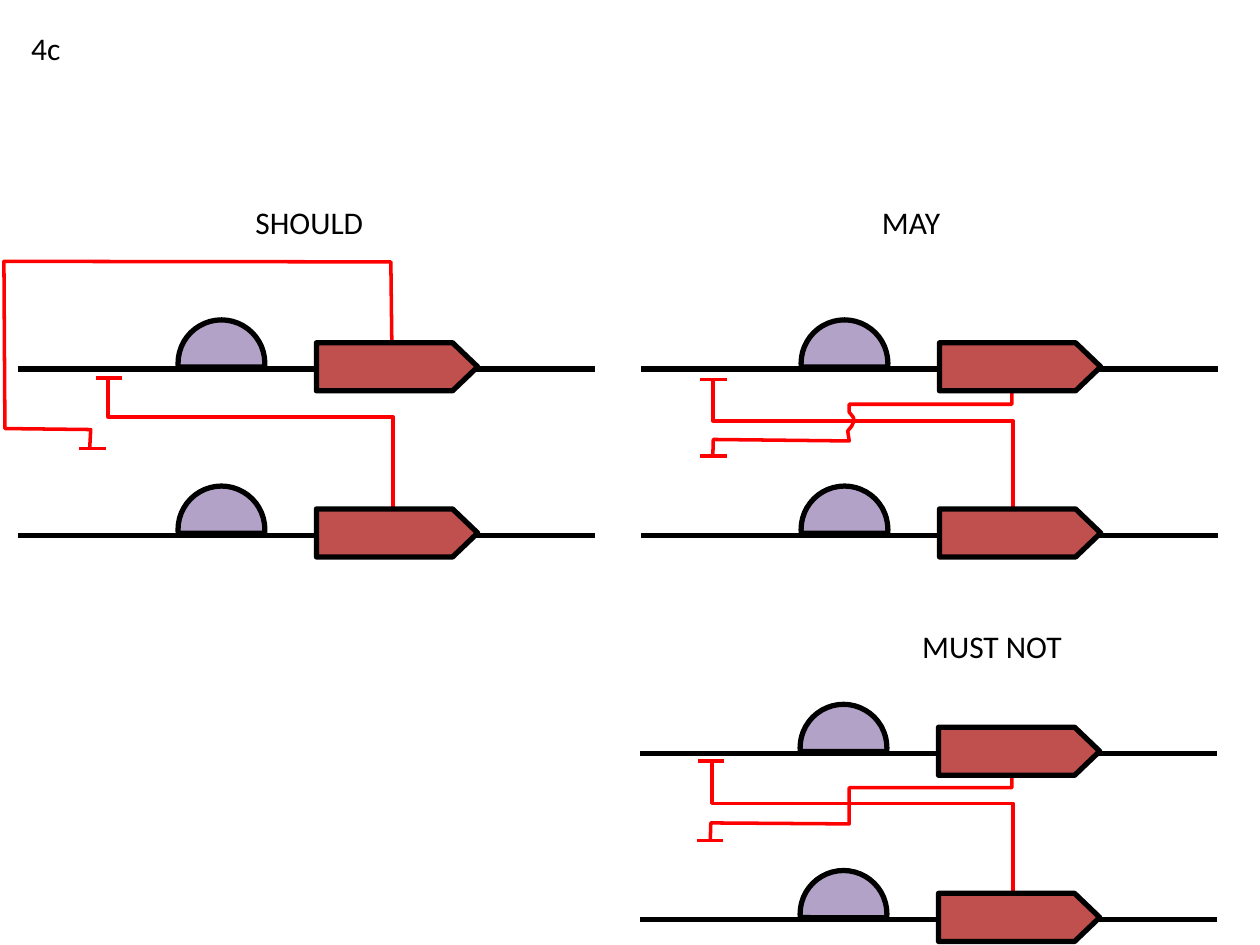
from lxml.etree import SubElement
from pptx import Presentation
from pptx.dml.color import RGBColor
from pptx.enum.shapes import MSO_CONNECTOR, MSO_SHAPE
from pptx.enum.text import MSO_AUTO_SIZE
from pptx.oxml.ns import qn
from pptx.util import Cm, Pt

# Content, all lengths in cm
COLORS = {"gene": "C0504D", "site": "B3A2C7", "repression": "FF0000", "ink": "000000"}
FIGURE_LABEL = ("4c", 0.38, 0.46, 1.12)
PANELS = [
    {
        "title": ("SHOULD", 4.9, 3.96, 2.72),
        "strand": (0.36, 7.44),
        "lower_link": ((7.92, 10.24), (2.18, 7.59), 0.693),
        "upper_link": [(7.9, 6.93), (7.88, 5.28), (0.08, 5.27), (0.1, 8.64),
                       (1.83, 8.66), (1.81, 9.02)],
        "bars": [(1.93, 7.62), (1.6, 9.04)],
    },
    {
        "title": ("MAY", 17.53, 3.96, 1.75),
        "strand": (12.92, 7.44),
        "lower_link": ((20.42, 10.26), (14.37, 7.62), 0.673),
        "upper_link": [(20.4, 7.62), (20.4, 8.15), (17.12, 8.15), (17.12, 8.31),
                       (17.2, 8.41), (17.22, 8.48), (17.17, 8.59), (17.09, 8.69),
                       (17.12, 8.89), (14.38, 8.86), (14.37, 9.22)],
        "bars": [(14.12, 7.65), (14.12, 9.19)],
    },
    {
        "title": ("MUST NOT", 18.34, 12.52, 3.4),
        "strand": (12.9, 15.19),
        "lower_link": ((20.42, 18.01), (14.35, 15.34), 0.68),
        "upper_link": [(20.4, 15.34), (20.4, 15.88), (17.12, 15.88), (17.12, 16.61),
                       (14.33, 16.59), (14.32, 16.92)],
        "bars": [(14.07, 15.34), (14.05, 16.94)],
    },
]
STRAND_LENGTH, STRAND_GAP = 11.64, 3.35
BAR_LENGTH = 0.53
# Kind, offset from the strand's left end, size, adjustments, colour
STRAND_PARTS = [
    (MSO_SHAPE.RIGHT_ARROW, (6.02, -0.53), (3.25, 0.97), (1, 0.522), "gene"),
    (MSO_SHAPE.CHORD, (3.23, -0.99), (1.75, 1.75), (105.062, 3.015), "site"),
]

prs = Presentation()
prs.slide_width, prs.slide_height = Cm(25.4), Cm(19.05)
slide = prs.slides.add_slide(prs.slide_layouts[6])


def rgb(name):
    return RGBColor.from_string(COLORS[name])


def set_line(part, color, width):
    part.line.color.rgb = rgb(color)
    part.line.width = Pt(width)


def add_label(text, left, top, width, size=18, color="ink", font="Calibri"):
    label = slide.shapes.add_textbox(Cm(left), Cm(top), Cm(width), Cm(1.02))
    frame = label.text_frame
    frame.word_wrap = False
    frame.auto_size = MSO_AUTO_SIZE.SHAPE_TO_FIT_TEXT
    run = frame.paragraphs[0].add_run()
    run.text = text
    run.font.size, run.font.name = Pt(size), font
    run.font.color.rgb = rgb(color)


def add_line(shapes, start, end, color, width, kind=MSO_CONNECTOR.STRAIGHT):
    line = shapes.add_connector(kind, *(Cm(v) for v in start + end))
    set_line(line, color, width)
    SubElement(line._element.spPr, qn("a:effectLst"))
    return line


def add_lower_link(start, end, bend):
    """Elbow that leaves upwards: laid out on its side, then turned 270 degrees."""
    rise, run = start[1] - end[1], start[0] - end[0]
    mid_x, mid_y = (start[0] + end[0]) / 2, (start[1] + end[1]) / 2
    link = add_line(slide.shapes, (mid_x - rise / 2, mid_y + run / 2),
                    (mid_x + rise / 2, mid_y - run / 2),
                    "repression", 2, MSO_CONNECTOR.ELBOW)
    properties = link._element.spPr
    properties.find(qn("a:xfrm")).set("rot", str(270 * 60000))
    guides = properties.find(qn("a:prstGeom")).get_or_add_avLst()
    SubElement(guides, qn("a:gd"), name="adj1", fmla=f"val {round(bend * 100000)}")


def add_upper_link(points):
    first, *rest = [(Cm(x), Cm(y)) for x, y in points]
    builder = slide.shapes.build_freeform(*first)
    builder.add_line_segments(rest, close=False)
    link = builder.convert_to_shape()
    link.fill.background()
    link.shadow.inherit = False
    set_line(link, "repression", 2)


def add_strand(left, y):
    shapes = slide.shapes.add_group_shape().shapes
    add_line(shapes, (left, y), (left + STRAND_LENGTH, y), "ink", 3)
    for kind, (dx, dy), size, adjustments, color in STRAND_PARTS:
        part = shapes.add_shape(kind, Cm(left + dx), Cm(y + dy), *map(Cm, size))
        for i, value in enumerate(adjustments):
            part.adjustments[i] = value
        part.fill.solid()
        part.fill.fore_color.rgb = rgb(color)
        part.shadow.inherit = False
        set_line(part, "ink", 3)


add_label(*FIGURE_LABEL)
for panel in PANELS:
    add_label(*panel["title"])
    # Repression links go behind the strands
    add_upper_link(panel["upper_link"])
    add_lower_link(*panel["lower_link"])
    for x, y in panel["bars"]:
        add_line(slide.shapes, (x, y), (x + BAR_LENGTH, y), "repression", 2)
    left, top = panel["strand"]
    for row in range(2):
        add_strand(left, top + row * STRAND_GAP)

prs.save("out.pptx")
